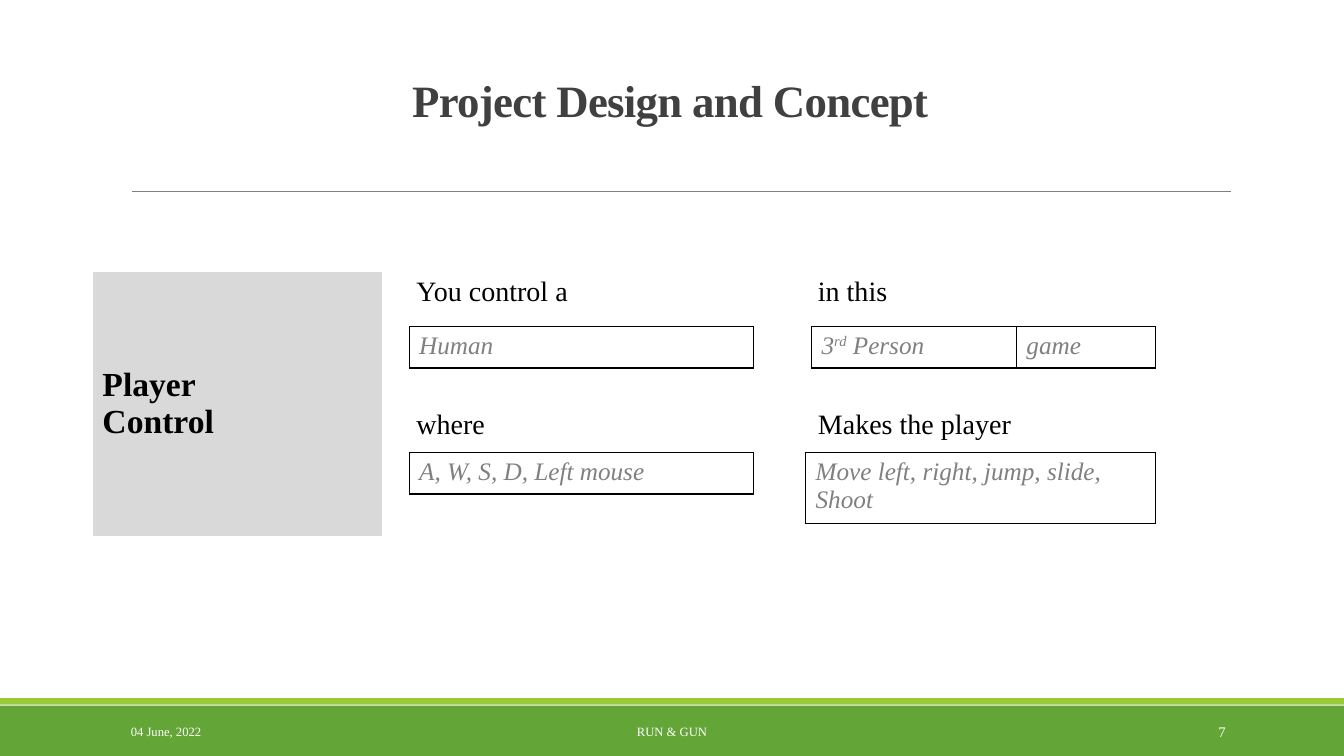
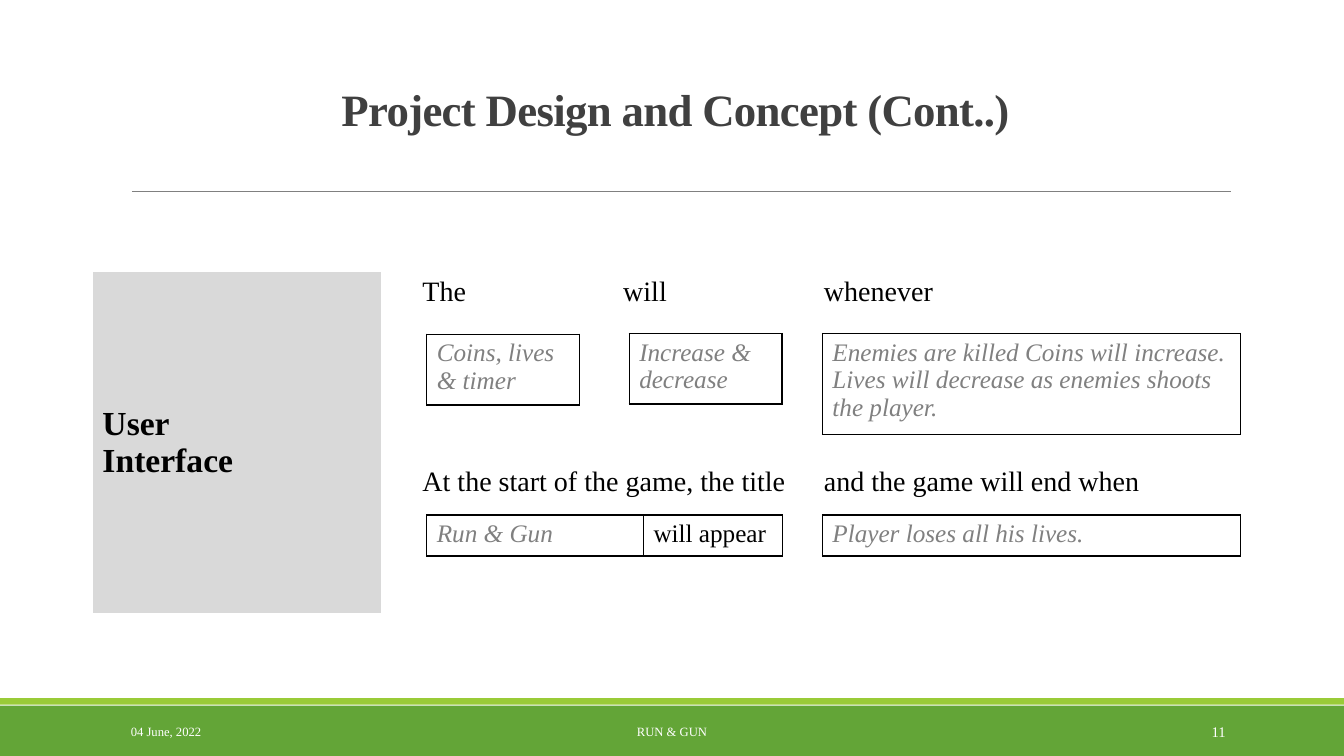
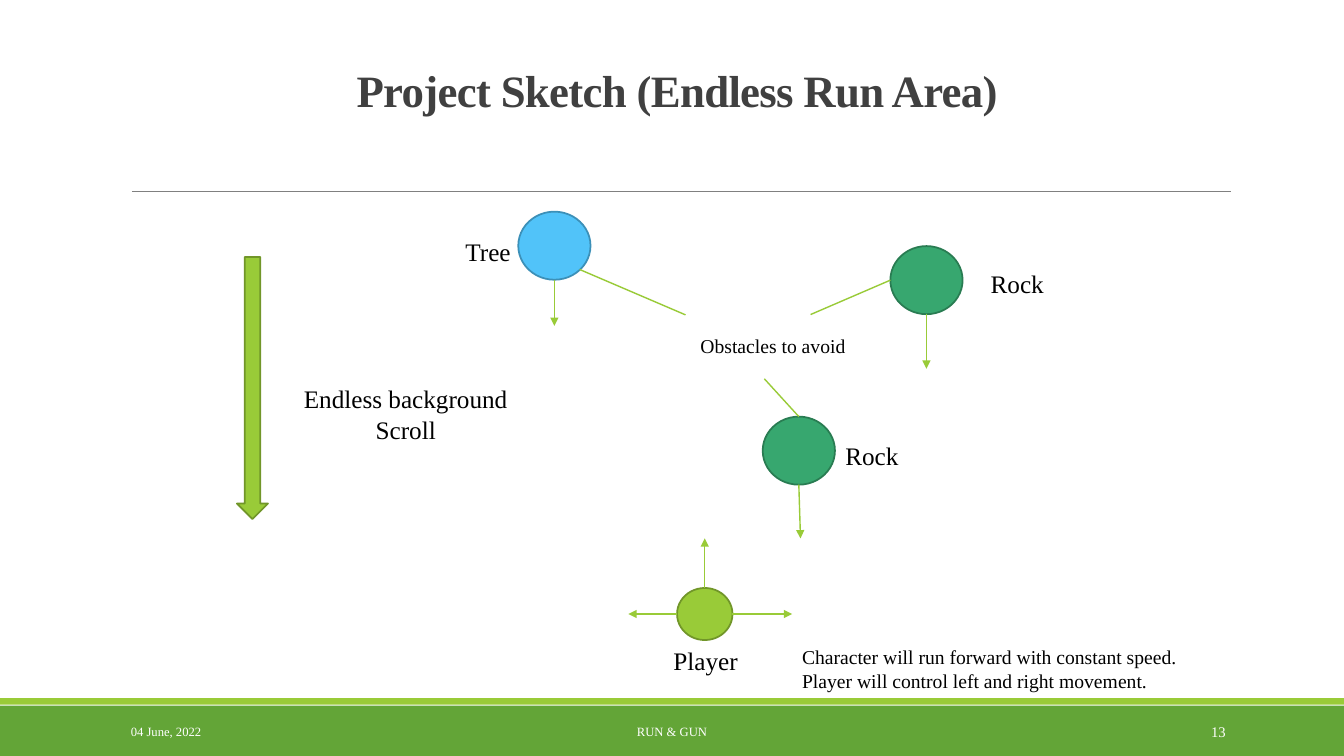
import dataclasses
import typing

import lxml.etree
import pptx
import pptx.dml.color
import pptx.enum.shapes
import pptx.enum.text
import pptx.oxml.ns
import pptx.util

COLUMNS, ROWS = 160, 90
SLIDE_WIDTH, SLIDE_HEIGHT = pptx.util.Inches(13.33), pptx.util.Inches(7.5)
FONT = "Times New Roman"
COLORS = {
    "band": "63A537", "lime": "99CB38", "lime_edge": "719629",
    "rule": "808080", "title": "404040", "answer": "808080",
    "black": "000000", "white": "FFFFFF", "topic": "D9D9D9",
    "rock": "37A76F", "rock_edge": "297C52",
    "tree": "51C3F9", "tree_edge": "3C90B8",
}
STYLES: dict[str, dict[str, typing.Any]] = {
    "title": {"size": 32, "bold": True, "color": "title", "spc": -50},
    "footer": {"size": 9, "color": "white"},
    "number": {"size": 10.5, "color": "white"},
    "topic": {"size": 24, "bold": True, "color": "black"},
    "prompt": {"size": 20, "color": "black"},
    "answer": {"size": 18, "italic": True, "color": "answer"},
    "ordinal": {"size": 18, "italic": True, "color": "answer", "baseline": 30000},
    "label": {"size": 18, "color": "black"},
    "note": {"size": 14, "color": "black"},
}
ALIGN = pptx.enum.text.PP_ALIGN
ANCHOR = pptx.enum.text.MSO_ANCHOR
SHAPE = pptx.enum.shapes.MSO_SHAPE
PROMPT_LEFT, PROMPT_TOP = 11, 32.3


class Box(typing.NamedTuple):
    x: float
    y: float
    w: float
    h: float

    def point(self, across: float, down: float) -> tuple[float, float]:
        return self.x + self.w * across, self.y + self.h * down


class Words(typing.NamedTuple):
    text: str
    style: str = "answer"


@dataclasses.dataclass
class Answer:
    x: float
    y: float
    widths: list[float]
    cells: list[list[Words]]
    height: float = 4.9


@dataclasses.dataclass
class PromptSlide:
    title: str
    title_box: Box
    number: str
    topic: list[str]
    widths: list[float]
    heights: list[float]
    prompts: list[list[str]]
    answers: list[Answer]
    joined: tuple[int, int] | None = None


@dataclasses.dataclass
class Figure:
    box: Box
    color: str
    preset: typing.Any = SHAPE.OVAL


@dataclasses.dataclass
class Ray:
    origin: Box
    side: tuple[float, float]
    reach: tuple[float, float]
    arrow: bool = True


@dataclasses.dataclass
class Label:
    lines: list[str]
    box: Box
    style: str = "label"
    aligns: tuple = (ALIGN.CENTER,)
    wrap: bool = True


def across(columns: float) -> int:
    return round(SLIDE_WIDTH * columns / COLUMNS)


def down(rows: float) -> int:
    return round(SLIDE_HEIGHT * rows / ROWS)


def place(box: Box) -> tuple[int, int, int, int]:
    return across(box.x), down(box.y), across(box.w), down(box.h)


def rgb(name: str) -> pptx.dml.color.RGBColor:
    return pptx.dml.color.RGBColor.from_string(COLORS[name])


def add_words(paragraph, words: Words) -> None:
    run = paragraph.add_run()
    run.text = words.text
    run.font.name = FONT
    for key, value in STYLES[words.style].items():
        if key == "color":
            run.font.color.rgb = rgb(value)
        elif key in ("spc", "baseline"):
            run._r.get_or_add_rPr().set(key, str(value))
        else:
            setattr(run.font, key, pptx.util.Pt(value) if key == "size" else value)


def write(frame, lines: list[list[Words]], aligns: tuple = (ALIGN.LEFT,)) -> None:
    for index, line in enumerate(lines):
        paragraph = frame.add_paragraph() if index else frame.paragraphs[0]
        paragraph.alignment = aligns[min(index, len(aligns) - 1)]
        for words in line:
            add_words(paragraph, words)


def add_label(slide, label: Label, anchor=ANCHOR.TOP, spacing: float | None = None) -> None:
    frame = slide.shapes.add_textbox(*place(label.box)).text_frame
    frame.word_wrap = label.wrap
    frame.vertical_anchor = anchor
    write(frame, [[Words(line, label.style)] for line in label.lines], label.aligns)
    if spacing:
        frame.paragraphs[0].line_spacing = spacing


def add_figure(slide, figure: Figure, edge: str | None = None) -> None:
    shape = slide.shapes.add_shape(figure.preset, *place(figure.box))
    shape.shadow.inherit = False
    shape.fill.solid()
    shape.fill.fore_color.rgb = rgb(figure.color)
    if edge:
        shape.line.color.rgb = rgb(edge)
        shape.line.width = pptx.util.Pt(1.25)
    else:
        shape.line.fill.background()


def add_line(slide, start: tuple[float, float], end: tuple[float, float],
             color: str, width: float, arrow: bool = False) -> None:
    line = slide.shapes.add_connector(
        pptx.enum.shapes.MSO_CONNECTOR.STRAIGHT,
        across(start[0]), down(start[1]), across(end[0]), down(end[1]))
    line.line.color.rgb = rgb(color)
    line.line.width = pptx.util.Pt(width)
    if arrow:
        lxml.etree.SubElement(line.line._get_or_add_ln(),
                              pptx.oxml.ns.qn("a:tailEnd"), type="triangle")
    lxml.etree.SubElement(line._element.spPr, pptx.oxml.ns.qn("a:effectLst"))


def add_grid(slide, x: float, y: float, widths: list[float], heights: list[float]):
    box = Box(x, y, sum(widths), sum(heights))
    table = slide.shapes.add_table(len(heights), len(widths), *place(box)).table
    table.first_row = table.horz_banding = False
    for column, width in zip(table.columns, widths):
        column.width = across(width)
    for row, height in zip(table.rows, heights):
        row.height = down(height)
    return table


def add_border(cell) -> None:
    for side in ("lnL", "lnR", "lnT", "lnB"):
        edge = lxml.etree.SubElement(cell._tc.get_or_add_tcPr(),
                                     pptx.oxml.ns.qn(f"a:{side}"),
                                     w=str(pptx.util.Pt(1)))
        fill = lxml.etree.SubElement(edge, pptx.oxml.ns.qn("a:solidFill"))
        lxml.etree.SubElement(fill, pptx.oxml.ns.qn("a:srgbClr"), val=COLORS["black"])


def add_answer(slide, answer: Answer) -> None:
    table = add_grid(slide, answer.x, answer.y, answer.widths, [answer.height])
    for cell, words in zip(table.iter_cells(), answer.cells):
        add_border(cell)
        cell.fill.background()
        write(cell.text_frame, [words])


def start_slide(deck, title: str, title_box: Box, number: str):
    slide = deck.slides.add_slide(deck.slide_layouts[6])
    add_figure(slide, Figure(Box(0, 84, COLUMNS, 6), "band", SHAPE.RECTANGLE))
    add_figure(slide, Figure(Box(0, 83.1, COLUMNS, 0.8), "lime", SHAPE.RECTANGLE))
    add_line(slide, (15.7, 22.8), (146.5, 22.8), "rule", 0.5)
    add_label(slide, Label([title], title_box, "title"), ANCHOR.BOTTOM, 0.85)
    for text, x, width, style, align in (
        ("04 June, 2022", 14.4, 32.4, "footer", ALIGN.LEFT),
        ("RUN & GUN", 48.4, 63.2, "footer", ALIGN.CENTER),
        (number, 130, 17.1, "number", ALIGN.RIGHT),
    ):
        add_label(slide, Label([text], Box(x, 84.7, width, 4.8), style, (align,)),
                  ANCHOR.MIDDLE)
    return slide


def add_prompt_slide(deck, content: PromptSlide) -> None:
    slide = start_slide(deck, content.title, content.title_box, content.number)
    table = add_grid(slide, PROMPT_LEFT, PROMPT_TOP, content.widths, content.heights)
    for cell in table.iter_cells():
        cell.fill.background()
    topic = table.cell(0, 0)
    topic.merge(table.cell(1, 0))
    topic.fill.solid()
    topic.fill.fore_color.rgb = rgb("topic")
    topic.vertical_anchor = ANCHOR.MIDDLE
    write(topic.text_frame, [[Words(line, "topic")] for line in content.topic])
    if content.joined:
        first, last = content.joined
        table.cell(1, first).merge(table.cell(1, last))
    for row, prompts in enumerate(content.prompts):
        for column, prompt in enumerate(prompts, start=2):
            if prompt:
                write(table.cell(row, column).text_frame, [[Words(prompt, "prompt")]])
    for answer in content.answers:
        add_answer(slide, answer)


def add_sketch_slide(deck) -> None:
    slide = start_slide(deck, "Project Sketch (Endless Run Area)",
                        Box(14.6, 6.5, 132, 8), "13")
    tree = Box(61.7, 25.2, 8.6, 8.1)
    far_rock = tree._replace(x=106, y=29.3)
    near_rock = tree._replace(x=90.8, y=49.6)
    player = Box(80.6, 70, 6.6, 6.2)
    top, left, bottom, right = (0.5, 0), (0, 0.5), (0.5, 1), (1, 0.5)
    for figure in (
        Figure(player, "lime"),
        Figure(far_rock, "rock"),
        Figure(near_rock, "rock"),
        Figure(tree, "tree"),
        Figure(Box(28.2, 30.6, 3.7, 31.2), "lime", SHAPE.DOWN_ARROW),
    ):
        add_figure(slide, figure, f"{figure.color}_edge")
    for ray in (
        Ray(player, right, (7.1, 0)),
        Ray(player, left, (-5.8, 0)),
        Ray(player, top, (0, -5.9)),
        Ray(near_rock, bottom, (0.2, 6.4)),
        Ray(far_rock, bottom, (0, 6.5)),
        Ray(tree, bottom, (0, 5.5)),
        Ray(tree, (0.85, 0.85), (12.6, 5.4), False),
        Ray(far_rock, left, (-9.5, 4.1), False),
        Ray(near_rock, top, (-4.1, -4.5), False),
    ):
        x, y = ray.origin.point(*ray.side)
        add_line(slide, (x, y), (x + ray.reach[0], y + ray.reach[1]),
                 "lime", 1, ray.arrow)
    for name, x, y in (("Player", 78.6, 76.2), ("Rock", 115.7, 31.4),
                       ("Rock", 98.4, 51.8), ("Tree", 52.7, 27.5)):
        add_label(slide, Label([name], Box(x, y, 10.8, 4.8)))
    for label in (
        Label(["Obstacles to avoid"], Box(82.2, 39.2, 19.9, 4.1), "note",
              (ALIGN.LEFT,), False),
        Label(["Endless background", "Scroll"], Box(35, 45.1, 26.9, 8.5), "label",
              (ALIGN.LEFT, ALIGN.CENTER), False),
        Label(["Character will run forward with constant speed.",
               "Player will control left and right movement."],
              Box(94.3, 76.2, 47.4, 6.8), "note", (ALIGN.LEFT,), False),
    ):
        add_label(slide, label)


PROMPT_SLIDES = [
    PromptSlide(
        "Project Design and Concept ", Box(14.4, 7.3, 132, 8.4), "7",
        ["Player", "Control"], [34.5, 2.8, 47.8, 53], [15.8, 15.8],
        [["You control a", "in this"], ["where", "Makes the player"]],
        [
            Answer(48.7, 38.9, [41], [[Words("Human")]]),
            Answer(96.6, 38.9, [24.4, 16.6],
                   [[Words("3"), Words("rd", "ordinal"), Words(" Person")],
                    [Words("game")]]),
            Answer(48.7, 53.9, [41], [[Words("A, W, S, D, Left mouse")]]),
            Answer(95.9, 53.9, [41.7],
                   [[Words("Move left, right, jump, slide, Shoot")]], 8.4),
        ],
    ),
    PromptSlide(
        "Project Design and Concept (Cont..)", Box(14.4, 8.3, 132, 8.5), "11",
        ["User", "Interface"], [34.4, 3.7, 23.9, 23.9, 52.9], [22.6, 18.2],
        [["The", "will", "whenever"],
         ["At the start of the game, the title", "", "and the game will end when"]],
        [
            Answer(50.8, 39.8, [18.2], [[Words("Coins, lives & timer")]], 8.4),
            Answer(97.9, 39.7, [49.8],
                   [[Words("Enemies are killed Coins will increase. Lives will "
                           "decrease as enemies shoots the player.")]], 12),
            Answer(97.9, 61.3, [49.8], [[Words("Player loses all his lives.")]]),
            Answer(74.9, 39.7, [18.2], [[Words("Increase & decrease")]], 8.4),
            Answer(50.8, 61.3, [25.8, 16.6],
                   [[Words("Run & Gun")], [Words("will appear", "label")]]),
        ],
        (2, 3),
    ),
]


def main() -> None:
    deck = pptx.Presentation()
    deck.slide_width, deck.slide_height = SLIDE_WIDTH, SLIDE_HEIGHT
    for content in PROMPT_SLIDES:
        add_prompt_slide(deck, content)
    add_sketch_slide(deck)
    deck.save("out.pptx")


if __name__ == "__main__":
    main()
